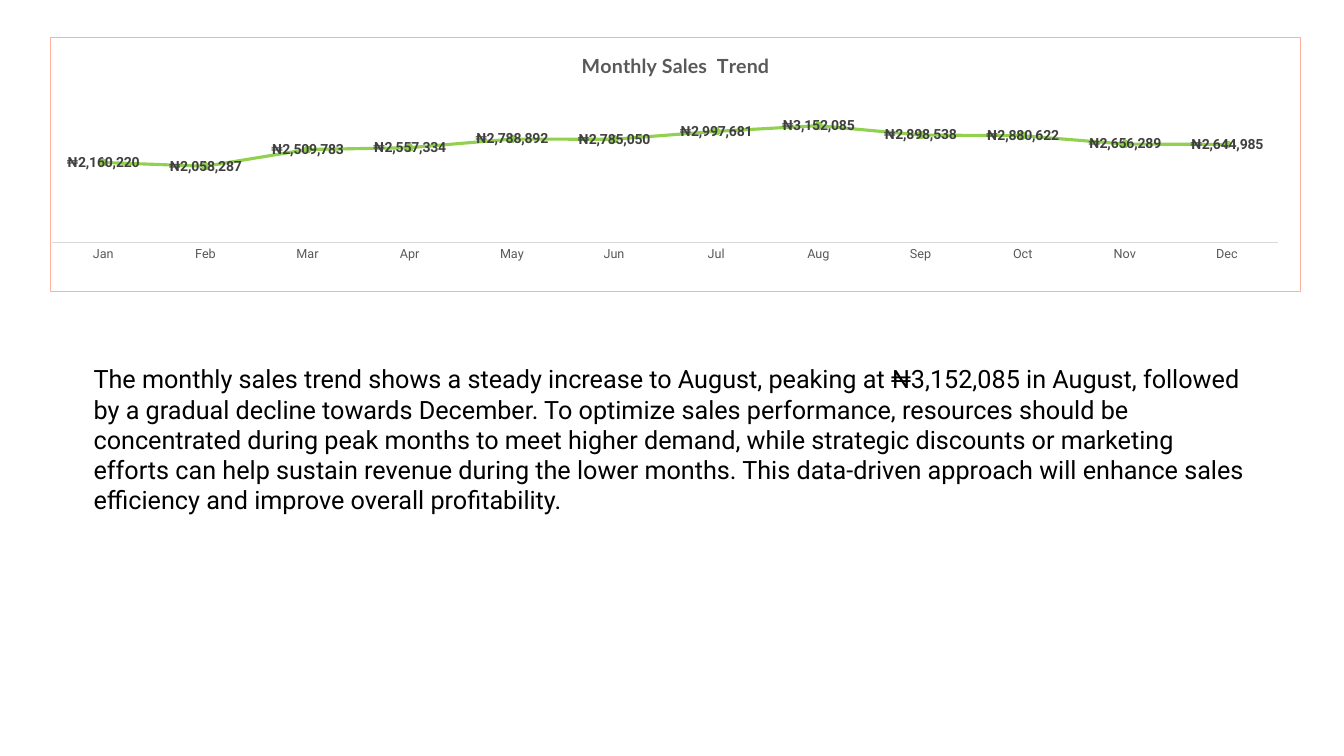
from lxml import etree
from pptx import Presentation
from pptx.chart.data import CategoryChartData
from pptx.dml.color import RGBColor
from pptx.enum import chart as ch, text
from pptx.oxml import parse_xml
from pptx.oxml.ns import nsdecls, qn
from pptx.util import Cm, Pt

MONTHS = "Jan Feb Mar Apr May Jun Jul Aug Sep Oct Nov Dec".split()
SALES = [2160220, 2058287, 2509783, 2557334, 2788892, 2785050,
         2997681, 3152085, 2898538, 2880622, 2656289, 2644985]
NAIRA = '"₦"#,##0'
NOTE = (
    "The monthly sales trend shows a steady increase to August, peaking at "
    "₦3,152,085 in August, followed by a gradual decline towards December. "
    "To optimize sales performance, resources should be concentrated during "
    "peak months to meet higher demand, while strategic discounts or marketing "
    "efforts can help sustain revenue during the lower months. This data-driven "
    "approach will enhance sales efficiency and improve overall profitability."
)


def rgb(code):
    return RGBColor.from_string(code)


def style(font, size, color, name="Roboto", bold=False):
    font.size, font.name, font.bold = Pt(size), name, bold
    font.color.rgb = rgb(color)


def layout(**parts):
    """Build a manual chart layout from its named settings."""
    root = parse_xml(f"<c:layout {nsdecls('c')}><c:manualLayout/></c:layout>")
    for name, value in parts.items():
        etree.SubElement(root[0], qn(f"c:{name}")).set("val", str(value))
    return root


def frame(chart, color, width):
    """Outline the whole chart area."""
    edge = parse_xml(
        f"<c:spPr {nsdecls('c', 'a')}><a:noFill/><a:ln w=\"{Pt(width)}\"><a:solidFill>"
        f"<a:srgbClr val=\"{color}\"/></a:solidFill></a:ln></c:spPr>")
    chart._chartSpace.find(qn("c:chart")).addnext(edge)


def add_trend(slide, left, top, width, height):
    data = CategoryChartData(number_format=NAIRA)
    data.categories = MONTHS
    data.add_series("Series 1", SALES)
    chart = slide.shapes.add_chart(
        ch.XL_CHART_TYPE.LINE_MARKERS, left, top, width, height, data).chart
    style(chart.font, 10, "000000")
    chart.has_legend = False
    frame(chart, "FFB09D", 0.75)

    title = chart.chart_title
    title.text_frame.text = "Monthly Sales  Trend"
    style(title.text_frame.paragraphs[0].font, 14, "595959", "Lato", True)
    title.include_in_layout = False

    area = chart._chartSpace.find(qn("c:chart")).find(qn("c:plotArea"))
    for old in area.findall(qn("c:layout")):
        area.remove(old)
    area.insert(0, layout(layoutTarget="inner", xMode="edge", yMode="edge",
                          x=0.001, y=0.298, w=0.981, h=0.512))

    months, sales = chart.category_axis, chart.value_axis
    months.major_tick_mark = ch.XL_TICK_MARK.NONE
    months.has_major_gridlines = False
    months.format.line.color.rgb = rgb("D9D9D9")
    months.format.line.width = Pt(0.75)
    style(months.tick_labels.font, 9, "595959")
    sales.visible = sales.has_major_gridlines = False
    sales.minimum_scale, sales.maximum_scale = 0, 3500000

    plot = chart.plots[0]
    plot.vary_by_categories = False
    line = plot.series[0]
    line.smooth = False
    line.format.line.color.rgb = rgb("92D050")
    line.format.line.width = Pt(2.25)
    dot = line.marker
    dot.style, dot.size = ch.XL_MARKER_STYLE.CIRCLE, 5
    dot.format.fill.solid()
    dot.format.fill.fore_color.rgb = rgb("92D050")
    dot.format.line.color.rgb = rgb("92D050")

    labels = line.data_labels
    labels.show_value = True
    labels.position = ch.XL_LABEL_POSITION.CENTER
    labels.number_format, labels.number_format_is_linked = NAIRA, False
    style(labels.font, 10, "404040", bold=True)


def add_note(slide, left, top, width, height):
    body = slide.shapes.add_textbox(left, top, width, height).text_frame
    body.word_wrap = True
    body.auto_size = text.MSO_AUTO_SIZE.SHAPE_TO_FIT_TEXT
    body.text = NOTE
    style(body.paragraphs[0].font, 18, "000000")


def main():
    deck = Presentation()
    deck.slide_width, deck.slide_height = Cm(33.87), Cm(19.05)
    slide = deck.slides.add_slide(deck.slide_layouts[6])
    add_trend(slide, Cm(1.27), Cm(0.92), Cm(31.52), Cm(6.43))
    add_note(slide, Cm(2.11), Cm(9.04), Cm(29.57), Cm(4.11))
    deck.save("out.pptx")


if __name__ == "__main__":
    main()
